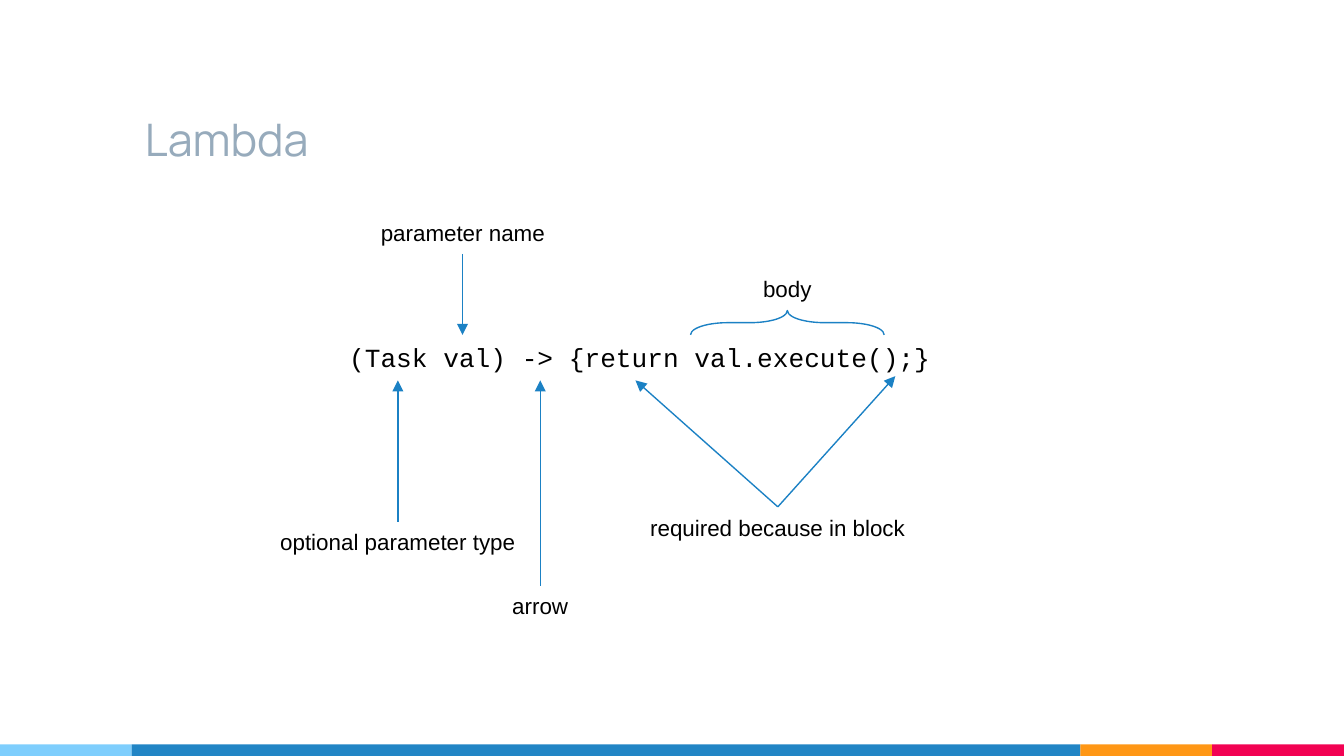
import pptx
import pptx.util
import pptx.dml.color
import pptx.enum.shapes
import pptx.enum.text
import pptx.oxml.ns
import lxml.etree

Cm = pptx.util.Cm
Pt = pptx.util.Pt
KIND = pptx.enum.shapes.MSO_SHAPE
ALIGN = pptx.enum.text.PP_ALIGN
ANCHOR = pptx.enum.text.MSO_ANCHOR

HUES = {
    "sky": "7ECEFD", "blue": "2185C5", "gold": "FF9715", "pink": "F20253",
    "title": "97ABBC", "line": "1B81C4", "ink": "000000",
}
WIDE, HIGH = 25.4, 14.29
BAND = 0.22
BARS = [("sky", 2.49), ("blue", 17.93), ("gold", 2.49), ("pink", 2.49)]

TITLE = "Lambda"
CODE = "(Task val) -> {return val.execute();}"

LABELS = [
    ("parameter name", 8.75, 4.01, 3.63),
    ("optional parameter type", 7.52, 9.86, 4.98),
    ("arrow", 10.21, 11.07, 1.57),
    ("body", 14.88, 5.08, 1.42),
    ("required because in block", 14.7, 9.58, 5.36),
]
ARROWS = [
    ((8.74, 4.8), (8.74, 6.33)),
    ((7.52, 9.86), (7.52, 7.19)),
    ((10.21, 11.07), (10.21, 7.19)),
    ((14.7, 9.58), (16.92, 7.11)),
    ((14.7, 9.58), (12.01, 7.19)),
]

deck = pptx.Presentation()
deck.slide_width, deck.slide_height = Cm(WIDE), Cm(HIGH)
slide = deck.slides.add_slide(deck.slide_layouts[6])


def tint(name):
    return pptx.dml.color.RGBColor.from_string(HUES[name])


def write(text, box, font="Arial", size=12, hue="ink", align=ALIGN.LEFT,
          anchor=ANCHOR.TOP, pad=0.13, inset=0, wrap=True):
    frame = slide.shapes.add_textbox(*map(Cm, box)).text_frame
    frame.word_wrap = wrap
    frame.vertical_anchor = anchor
    frame.margin_left = Cm(0.25 + inset)
    frame.margin_right = Cm(0.25)
    frame.margin_top = frame.margin_bottom = Cm(pad)
    para = frame.paragraphs[0]
    para.alignment = align
    run = para.add_run()
    run.text = text
    run.font.name = font
    run.font.size = Pt(size)
    run.font.color.rgb = tint(hue)


def link(start, end):
    line = slide.shapes.add_connector(
        pptx.enum.shapes.MSO_CONNECTOR.STRAIGHT, *map(Cm, start + end))
    line.line.color.rgb = tint("line")
    line.line.width = Pt(0.75)
    qn = pptx.oxml.ns.qn
    tip = lxml.etree.SubElement(line.line._get_or_add_ln(), qn("a:tailEnd"))
    tip.set("type", "triangle")
    lxml.etree.SubElement(line._element.spPr, qn("a:effectLst"))


left = 0
for hue, width in BARS:
    bar = slide.shapes.add_shape(
        KIND.RECTANGLE, Cm(left), Cm(HIGH - BAND), Cm(width), Cm(BAND))
    bar.shadow.inherit = False
    bar.fill.solid()
    bar.fill.fore_color.rgb = tint(hue)
    bar.line.fill.background()
    left += width

write(TITLE, (2.49, 0.99, 17.93, 2.39), font="Manrope", size=24,
      hue="title", anchor=ANCHOR.BOTTOM, pad=0.25)
write(CODE, (6.15, 6.32, 11.73, 0.86), font="Courier New", size=14,
      inset=0.2)

brace = slide.shapes.add_shape(
    KIND.LEFT_BRACE, Cm(14.65), Cm(4.27), Cm(0.46), Cm(3.66))
brace.rotation = 90
brace.adjustments[0] = 1.52
brace.adjustments[1] = 0.5
brace.shadow.inherit = False
brace.fill.background()
brace.line.color.rgb = tint("line")
brace.line.width = Pt(0.75)

for start, end in ARROWS:
    link(start, end)
for text, mid, top, width in LABELS:
    write(text, (mid - width / 2, top, width, 0.76),
          align=ALIGN.CENTER, wrap=False)

deck.save("out.pptx")
